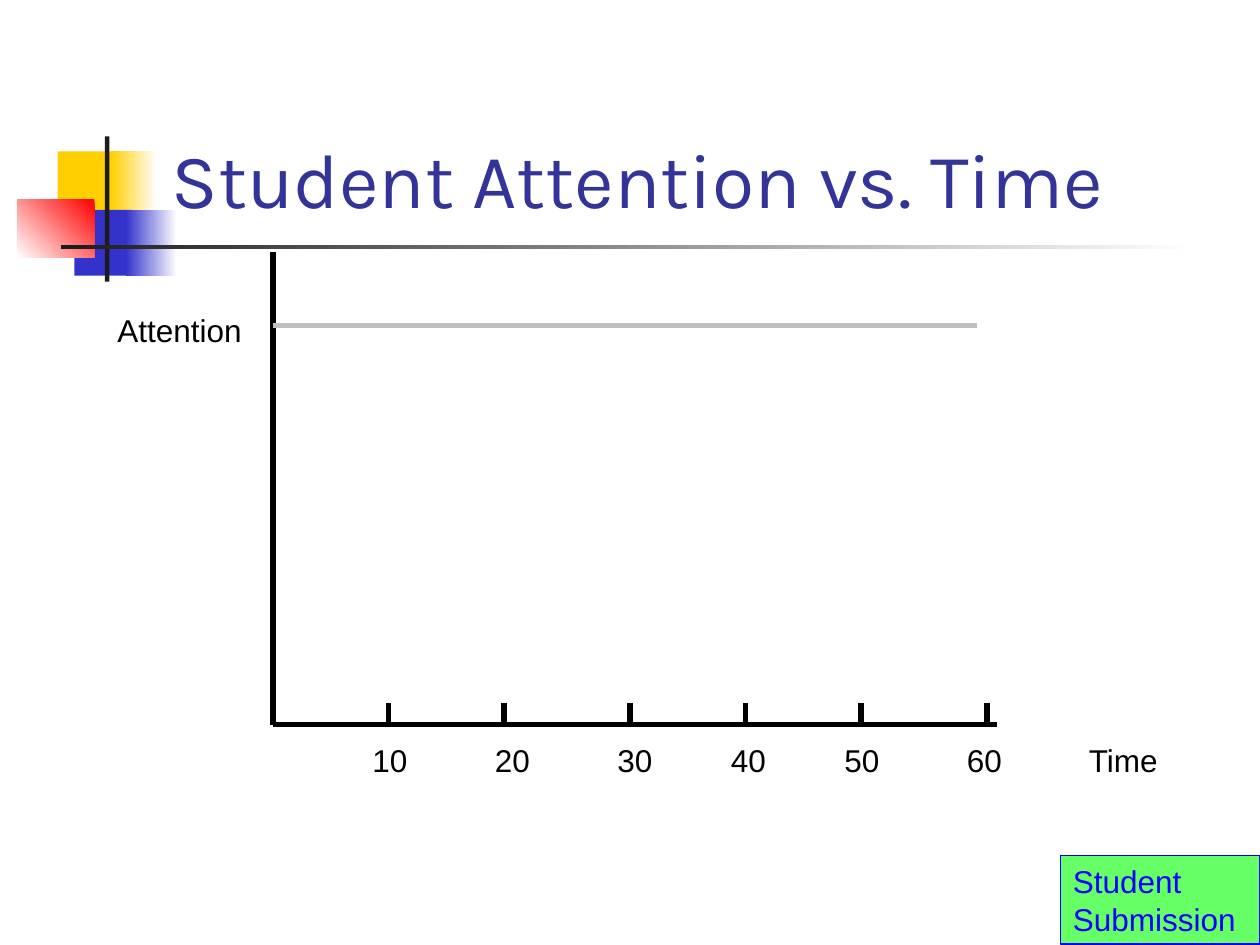
import pptx
import pptx.util
import pptx.dml.color
import pptx.enum.shapes
import pptx.enum.text
import pptx.oxml.ns
from lxml import etree

Pt = pptx.util.Pt
RECT = pptx.enum.shapes.MSO_SHAPE.RECTANGLE
STRAIGHT = pptx.enum.shapes.MSO_CONNECTOR.STRAIGHT
LEFT = pptx.enum.text.PP_ALIGN.LEFT
qn = pptx.oxml.ns.qn


def rgb(hex_color):
    return pptx.dml.color.RGBColor.from_string(hex_color)


def add_rect(s, x, y, w, h, color):
    sp = s.shapes.add_shape(RECT, Pt(x), Pt(y), Pt(w), Pt(h))
    sp.shadow.inherit = False
    sp.line.fill.background()
    sp.fill.solid()
    sp.fill.fore_color.rgb = rgb(color)
    return sp


def add_gradient_rect(s, x, y, w, h, start, end, angle):
    """The angle runs counterclockwise, in degrees."""
    fill = add_rect(s, x, y, w, h, start).fill
    fill.gradient()
    fill.gradient_angle = angle
    for stop, color, position in zip(fill.gradient_stops, (start, end), (0, 1)):
        stop.color.rgb = rgb(color)
        stop.position = position


def add_line(s, x1, y1, x2, y2, color="000000"):
    line = s.shapes.add_connector(STRAIGHT, Pt(x1), Pt(y1), Pt(x2), Pt(y2))
    line.line.color.rgb = rgb(color)
    line.line.width = Pt(3)
    etree.SubElement(line._element.spPr, qn("a:effectLst"))


def add_run(p, text, size=18, font="Arial", color="000000"):
    p.alignment = LEFT
    r = p.add_run()
    r.text = text
    r.font.size = Pt(size)
    r.font.name = font
    r.font.color.rgb = rgb(color)


def add_text(s, x, y, w, h, text):
    tf = s.shapes.add_textbox(Pt(x), Pt(y), Pt(w), Pt(h)).text_frame
    tf.word_wrap = True
    add_run(tf.paragraphs[0], text)
    return tf.paragraphs[0]


def set_center_tabs(p, positions):
    tabs = etree.SubElement(p._p.get_or_add_pPr(), qn("a:tabLst"))
    for position in positions:
        etree.SubElement(tabs, qn("a:tab"), pos=str(Pt(position)), algn="ctr")


def add_ornament(s, x, y):
    add_rect(s, x + 23, y + 8.5, 35, 37.5, "FFCF01")
    add_gradient_rect(s, x + 53.5, y + 8.5, 26, 37.5, "FFFFFF", "FFCF01", 180)
    add_rect(s, x + 32.5, y + 42, 33, 37.5, "3333CC")
    add_gradient_rect(s, x + 62, y + 42, 29, 37.5, "FFFFFF", "3333CC", 180)
    add_gradient_rect(s, x, y + 36, 44, 33, "FF0000", "FFFFFF", 225)
    add_rect(s, x + 50, y, 2.5, 83, "1C1C1C")
    add_gradient_rect(s, x + 25, y + 62, 648, 2.5, "FFFFFF", "1C1C1C", 180)


def add_title(s, x, y, w, h, text):
    title = s.shapes.title
    title.left, title.top, title.width, title.height = Pt(x), Pt(y), Pt(w), Pt(h)
    tf = title.text_frame
    tf.auto_size = pptx.enum.text.MSO_AUTO_SIZE.NONE
    tf.vertical_anchor = pptx.enum.text.MSO_ANCHOR.BOTTOM
    add_run(tf.paragraphs[0], text, 44, "Karla", "333399")
    title.element.getparent().append(title.element)  # in front of the ornament


def add_attention_graph(s, x, y, w, h):
    bottom = y + h
    add_line(s, x, y, x, bottom)
    add_line(s, x, bottom, x + w, bottom)
    add_text(s, x - 96, y + 30, 92, 28.8, "Attention")
    for offset in (66, 132, 204, 270, 336, 408):
        add_line(s, x + offset, bottom - 12, x + offset, bottom)

    labels = ("10", "20", "30", "40", "50", "60", "Time")
    p = add_text(s, x, bottom + 6, 516, 28.8, "".join("\t" + t for t in labels))
    set_center_tabs(p, (59.7, 129.7, 199.7, 264.5, 329.4, 399.4, 478.8))
    add_line(s, x, y + 42, x + 402, y + 42, "C0C0C0")


def add_submission_tag(s, x, y, w, h):
    sp = add_rect(s, x, y, w, h, "66FF66")
    sp.line.color.rgb = rgb("0000FF")
    sp.line.width = Pt(0.75)
    tf = sp.text_frame
    tf.word_wrap = True
    add_run(tf.paragraphs[0], "Student Submission", color="0000FF")


def main():
    prs = pptx.Presentation()
    prs.slide_width, prs.slide_height = Pt(720), Pt(540)
    s = prs.slides.add_slide(prs.slide_layouts[5])
    add_ornament(s, 10, 78)
    add_title(s, 91, 16.5, 613.5, 115, "Student Attention vs. Time")
    add_attention_graph(s, 156, 144, 414, 270)
    add_submission_tag(s, 606, 489, 114, 50.4)
    prs.save("out.pptx")


if __name__ == "__main__":
    main()
